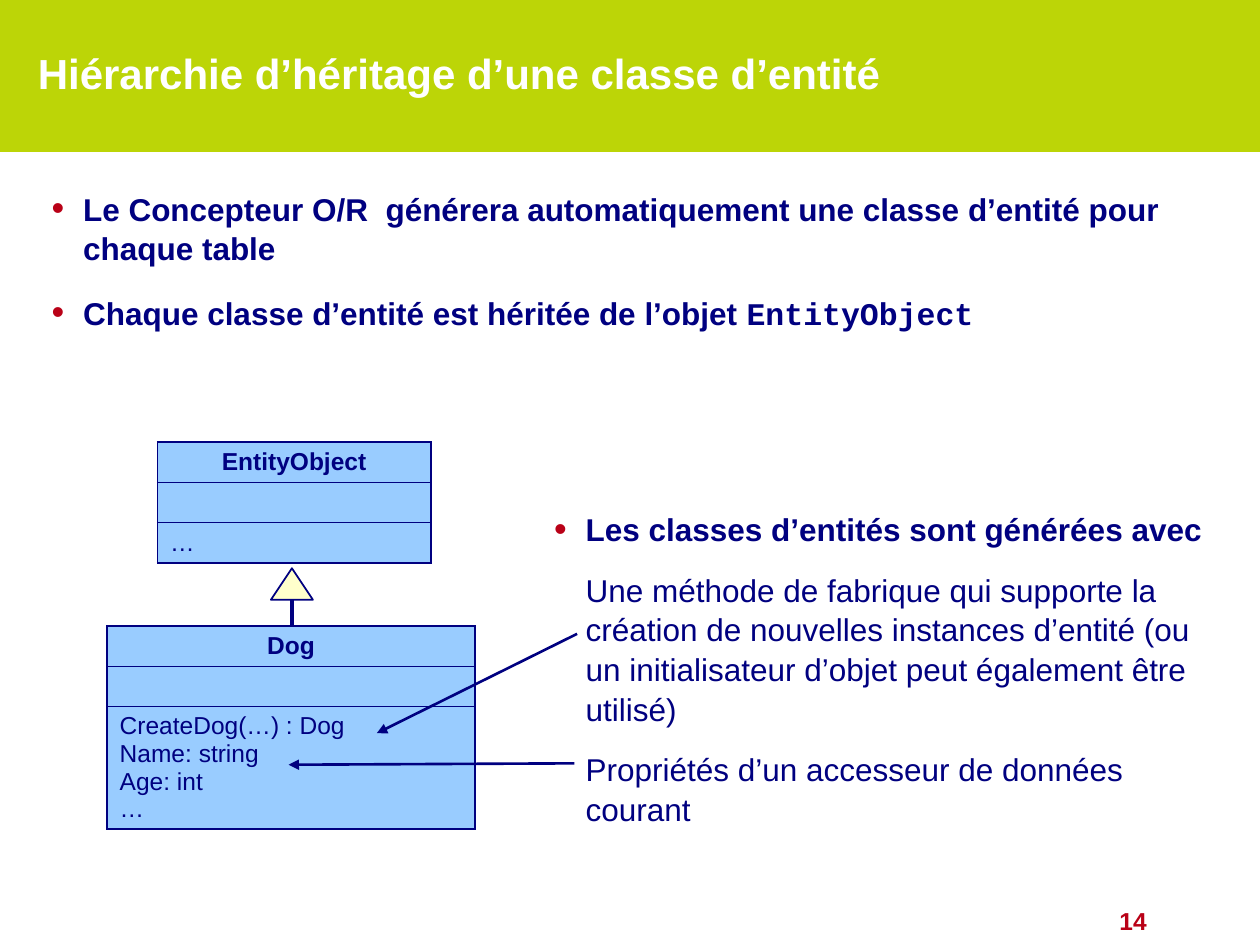
from dataclasses import dataclass

from lxml import etree
from pptx import Presentation
from pptx.dml.color import RGBColor
from pptx.enum.shapes import MSO_CONNECTOR, MSO_SHAPE
from pptx.enum.text import MSO_ANCHOR, MSO_AUTO_SIZE, PP_ALIGN
from pptx.oxml.ns import qn
from pptx.util import Pt

LINE = MSO_CONNECTOR.STRAIGHT
RECT, TRIANGLE = MSO_SHAPE.RECTANGLE, MSO_SHAPE.ISOSCELES_TRIANGLE
LEFT, CENTER, RIGHT = PP_ALIGN.LEFT, PP_ALIGN.CENTER, PP_ALIGN.RIGHT


@dataclass(frozen=True)
class Theme:
    lime: str = "BCD507"
    white: str = "FFFFFF"
    navy: str = "000080"
    red: str = "B90117"
    sky: str = "99CCFF"
    cream: str = "FFFFCC"
    black: str = "000000"
    sans: str = "Arial"
    mono: str = "Courier New"
    title: int = 24
    text: int = 18
    small: int = 14


T = Theme()
INDENT = 18
ROW = 23


def rgb(value):
    return RGBColor.from_string(value)


def sub(parent, tag, **attrs):
    return etree.SubElement(parent, qn(tag), attrs)


def place(sp, box):
    for name, value in zip(("left", "top", "width", "height"), box):
        setattr(sp, name, Pt(value))


def add_run(p, text, size, color=T.navy, bold=False, font=T.sans):
    r = p.add_run()
    r.text = text
    for name, value in dict(size=Pt(size), bold=bold, name=font).items():
        setattr(r.font, name, value)
    r.font.color.rgb = rgb(color)
    return r


def setup_frame(tf, anchor=MSO_ANCHOR.TOP):
    settings = dict(word_wrap=True, auto_size=MSO_AUTO_SIZE.NONE,
                    vertical_anchor=anchor)
    for name, value in settings.items():
        setattr(tf, name, value)
    return tf


def set_bullet(p, shown):
    """Hang the paragraph by INDENT, with a red bullet or none."""
    pPr = p._p.get_or_add_pPr()
    pPr.set("marL", str(Pt(INDENT)))
    pPr.set("indent", str(Pt(-INDENT) if shown else 0))
    if not shown:
        sub(pPr, "a:buNone")
        return
    sub(sub(pPr, "a:buClr"), "a:srgbClr", val=T.red)
    sub(pPr, "a:buSzPct", val="115000")
    sub(pPr, "a:buFont", typeface=T.sans)
    sub(pPr, "a:buChar", char="•")


def fill_list(sp, items):
    """Write items of (bulleted, [(text, font), ...]); bulleted ones are bold."""
    tf = setup_frame(sp.text_frame)
    for i, (bulleted, runs) in enumerate(items):
        p = tf.add_paragraph() if i else tf.paragraphs[0]
        set_bullet(p, bulleted)
        p.alignment = LEFT
        p.line_spacing = 1.05
        p.space_before = Pt(0 if i == 0 else 14 if bulleted else 12)
        for text, font in runs:
            add_run(p, text, T.text, bold=bulleted, font=font)


def fill_title(sp, text):
    p = setup_frame(sp.text_frame, MSO_ANCHOR.MIDDLE).paragraphs[0]
    p.alignment = LEFT
    r = add_run(p, text, T.title, T.white, bold=True)
    effects = etree.Element(qn("a:effectLst"))
    shadow = sub(effects, "a:outerShdw", dist=str(Pt(3)), dir="2700000")
    sub(shadow, "a:srgbClr", val=T.black)
    r._r.rPr.find(qn("a:solidFill")).addnext(effects)


def add_shape(slide, kind, box, fill, line=None):
    sp = slide.shapes.add_shape(kind, *map(Pt, box))
    sp.shadow.inherit = False
    sp.fill.solid()
    sp.fill.fore_color.rgb = rgb(fill)
    if line:
        sp.line.color.rgb = rgb(line)
        sp.line.width = Pt(1)
    else:
        sp.line.fill.background()
    return sp


def add_line(slide, start, end, width, arrow=False):
    line = slide.shapes.add_connector(LINE, *map(Pt, start + end))
    line.line.color.rgb = rgb(T.navy)
    line.line.width = Pt(width)
    if arrow:
        sub(line.line._get_or_add_ln(), "a:tailEnd", type="triangle")
    sub(line._element.spPr, "a:effectLst")


def set_borders(cell):
    tcPr = cell._tc.get_or_add_tcPr()
    for i, side in enumerate(("L", "R", "T", "B")):
        ln = etree.Element(qn(f"a:ln{side}"), w=str(Pt(1)))
        sub(sub(ln, "a:solidFill"), "a:srgbClr", val=T.navy)
        tcPr.insert(i, ln)


def add_class_box(slide, left, top, width, name, members):
    """Draw a UML class: name, empty compartment, members."""
    texts = (name, "", "\v".join(members))
    heights = (ROW, ROW, ROW + 15.7 * (len(members) - 1))
    frame = slide.shapes.add_table(len(texts), 1, Pt(left), Pt(top),
                                   Pt(width), Pt(sum(heights)))
    table = frame.table
    table.first_row = table.horz_banding = False
    for i, (text, height) in enumerate(zip(texts, heights)):
        table.rows[i].height = Pt(height)
        cell = table.cell(i, 0)
        cell.fill.solid()
        cell.fill.fore_color.rgb = rgb(T.sky)
        set_borders(cell)
        cell.margin_top = cell.margin_bottom = Pt(3.5 if text else 0)
        p = cell.text_frame.paragraphs[0]
        p.alignment = LEFT if i else CENTER
        for j, part in enumerate(text.split("\v") if text else ()):
            if j:
                p.add_line_break()
            add_run(p, part, T.small, bold=i == 0)


def add_slide_number(slide, box, number):
    sp = slide.shapes.add_textbox(*map(Pt, box))
    p = setup_frame(sp.text_frame).paragraphs[0]
    p.alignment = RIGHT
    add_run(p, number, T.small, T.red, bold=True)


def main():
    prs = Presentation()
    prs.slide_width, prs.slide_height = Pt(720), Pt(540)
    slide = prs.slides.add_slide(prs.slide_layouts[1])
    slide.background.fill.solid()
    slide.background.fill.fore_color.rgb = rgb(T.lime)

    panel = add_shape(slide, RECT, (0, 87, 720, 453), T.white)
    slide.shapes._spTree.insert(2, panel._element)
    add_slide_number(slide, (548.6, 514, 113.8, 24), "14")

    title, body = slide.placeholders
    place(title, (14.4, 13, 613.4, 57))
    fill_title(title, "Hiérarchie d’héritage d’une classe d’entité")
    place(body, (22.3, 103.7, 655.2, 87))
    fill_list(body, [
        (True, [("Le Concepteur O/R  générera automatiquement une classe "
                 "d’entité pour chaque table", T.sans)]),
        (True, [("Chaque classe d’entité est héritée de l’objet ", T.sans),
                ("EntityObject", T.mono)]),
    ])

    add_line(slide, (166.8, 341), (166.8, 412.5), 2.25)
    add_shape(slide, TRIANGLE, (154.8, 324.7, 24, 18), T.cream, T.navy)
    add_class_box(slide, 90, 252.7, 156.2, "EntityObject", ["…"])
    add_class_box(slide, 61.2, 357.8, 210.2, "Dog",
                  ["CreateDog(…) : Dog", "Name: string", "Age: int", "…"])

    details = slide.shapes.add_textbox(*map(Pt, (309.6, 286.8, 394.6, 184.3)))
    fill_list(details, [
        (True, [("Les classes d’entités sont générées avec", T.sans)]),
        (False, [("Une méthode de fabrique qui supporte la création de "
                  "nouvelles instances d’entité (ou un initialisateur "
                  "d’objet peut également être utilisé)", T.sans)]),
        (False, [("Propriétés d’un accesseur de données courant", T.sans)]),
    ])
    add_line(slide, (329.8, 362.2), (215.3, 419), 1.5, arrow=True)
    add_line(slide, (328.3, 436.2), (164.9, 437), 1.5, arrow=True)

    prs.save("out.pptx")


if __name__ == "__main__":
    main()
